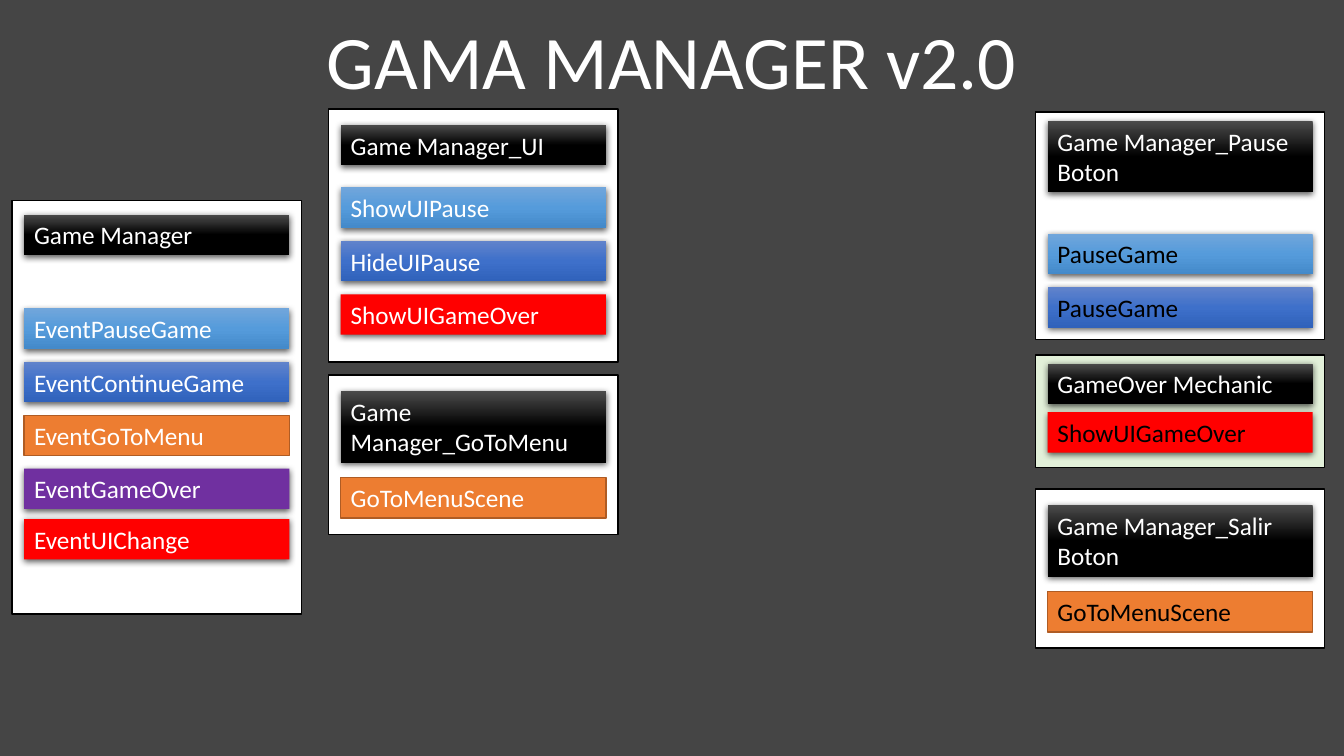
from copy import deepcopy
from dataclasses import dataclass
from typing import Any, Optional

from lxml import etree
from pptx import Presentation
from pptx.dml.color import RGBColor
from pptx.enum import shapes, text
from pptx.oxml import ns
from pptx.util import Inches, Pt

WHITE = RGBColor(0xFF, 0xFF, 0xFF)
BLACK = RGBColor(0x00, 0x00, 0x00)
CHARCOAL = RGBColor(0x45, 0x45, 0x45)
GRAPHITE = RGBColor(0x4B, 0x4B, 0x4B)
PALE_GREEN = RGBColor(0xE2, 0xF0, 0xD9)
ORANGE = RGBColor(0xED, 0x7D, 0x31)
DARK_ORANGE = RGBColor(0xAF, 0x5C, 0x24)
PURPLE = RGBColor(0x70, 0x30, 0xA0)
RED = RGBColor(0xFF, 0x00, 0x00)
SKY_TOP = RGBColor(0x71, 0xA6, 0xDB)
SKY_MIDDLE = RGBColor(0x55, 0x9B, 0xDB)
SKY_BOTTOM = RGBColor(0x44, 0x8A, 0xCA)
BLUE_TOP = RGBColor(0x61, 0x83, 0xCB)
BLUE_MIDDLE = RGBColor(0x3E, 0x70, 0xCA)
BLUE_BOTTOM = RGBColor(0x30, 0x62, 0xBB)

PANEL_WIDTH = 2.87
BAR_INSET = 0.12
BAR_WIDTH = PANEL_WIDTH - 2 * BAR_INSET
BAR_HEIGHT = 0.4
TALL_BAR_HEIGHT = 0.71
LEFT_COLUMN, MIDDLE_COLUMN, RIGHT_COLUMN = 0.12, 3.26, 10.27


@dataclass(frozen=True)
class Style:
    colors: tuple[RGBColor, ...]
    outline: Optional[RGBColor] = None
    shadow: bool = True


HEADER = Style((GRAPHITE, BLACK, BLACK))
PAUSE = Style((SKY_TOP, SKY_MIDDLE, SKY_BOTTOM))
CONTINUE = Style((BLUE_TOP, BLUE_MIDDLE, BLUE_BOTTOM))
MENU = Style((ORANGE,), DARK_ORANGE, False)
GAME_OVER = Style((PURPLE,))
UI_CHANGE = Style((RED,))
PLAIN_PANEL = Style((WHITE,), BLACK, False)
GREEN_PANEL = Style((PALE_GREEN,), BLACK, False)


@dataclass(frozen=True)
class Bar:
    label: str
    top: float
    style: Style = HEADER
    height: float = BAR_HEIGHT


@dataclass(frozen=True)
class Panel:
    left: float
    top: float
    height: float
    bars: tuple[Bar, ...]
    style: Style = PLAIN_PANEL
    event_color: RGBColor = WHITE


PANELS = (
    Panel(LEFT_COLUMN, 1.99, 4.1, (
        Bar("Game Manager", 2.13),
        Bar("EventPauseGame", 3.06, PAUSE),
        Bar("EventContinueGame", 3.59, CONTINUE),
        Bar("EventGoToMenu", 4.12, MENU),
        Bar("EventGameOver", 4.65, GAME_OVER),
        Bar("EventUIChange", 5.15, UI_CHANGE),
    )),
    Panel(RIGHT_COLUMN, 1.11, 2.26, (
        Bar("Game Manager_Pause\nBoton", 1.2, height=TALL_BAR_HEIGHT),
        Bar("PauseGame", 2.32, PAUSE),
        Bar("PauseGame", 2.85, CONTINUE),
    ), event_color=BLACK),
    Panel(MIDDLE_COLUMN, 1.08, 2.51, (
        Bar("Game Manager_UI", 1.24),
        Bar("ShowUIPause", 1.86, PAUSE),
        Bar("HideUIPause", 2.39, CONTINUE),
        Bar("ShowUIGameOver", 2.92, UI_CHANGE),
    )),
    Panel(RIGHT_COLUMN, 3.52, 1.12, (
        Bar("GameOver Mechanic", 3.61),
        Bar("ShowUIGameOver", 4.09, UI_CHANGE),
    ), GREEN_PANEL, BLACK),
    Panel(MIDDLE_COLUMN, 3.72, 1.58, (
        Bar("Game Manager_GoToMenu", 3.88, height=TALL_BAR_HEIGHT),
        Bar("GoToMenuScene", 4.74, MENU),
    )),
    Panel(RIGHT_COLUMN, 4.85, 1.58, (
        Bar("Game Manager_Salir Boton", 5.01, height=TALL_BAR_HEIGHT),
        Bar("GoToMenuScene", 5.87, MENU),
    ), event_color=BLACK),
)


def apply_format(target: Any, values: dict[str, Any]) -> None:
    for name, value in values.items():
        setattr(target, name, value)


def write_text(shape: Any, content: str, size: int, color: RGBColor,
               frame_format: dict[str, Any], paragraph_format: dict[str, Any]) -> None:
    frame = shape.text_frame
    frame.text = content
    apply_format(frame, {"word_wrap": True, **frame_format})
    for paragraph in frame.paragraphs:
        apply_format(paragraph, paragraph_format)
        for run in paragraph.runs:
            apply_format(run.font, {"name": "Calibri", "size": Pt(size)})
            run.font.color.rgb = color


def fill_gradient(shape: Any, colors: tuple[RGBColor, ...]) -> None:
    shape.fill.gradient()
    shape.fill.gradient_angle = 270
    stop_list = shape.element.spPr.find(".//" + ns.qn("a:gsLst"))
    stop_list.insert(1, deepcopy(stop_list[0]))
    for index, (stop, color) in enumerate(zip(shape.fill.gradient_stops, colors)):
        stop.color.rgb = color
        stop.position = index / (len(colors) - 1)


def add_shadow(shape: Any) -> None:
    effects = shape.element.spPr.find(ns.qn("a:effectLst"))
    shadow = etree.SubElement(effects, ns.qn("a:outerShdw"), blurRad=str(Pt(4.5)),
                              dist=str(Pt(1.5)), dir="5400000", algn="ctr", rotWithShape="0")
    color = etree.SubElement(shadow, ns.qn("a:srgbClr"), val=str(BLACK))
    etree.SubElement(color, ns.qn("a:alpha"), val="63000")


def add_box(container: Any, left: float, top: float, width: float, height: float,
            style: Style) -> Any:
    shape = container.add_shape(shapes.MSO_SHAPE.RECTANGLE, Inches(left), Inches(top),
                                Inches(width), Inches(height))
    shape.shadow.inherit = False
    if len(style.colors) > 1:
        fill_gradient(shape, style.colors)
    else:
        shape.fill.solid()
        shape.fill.fore_color.rgb = style.colors[0]
    if style.outline is None:
        shape.line.fill.background()
    else:
        shape.line.color.rgb = style.outline
        shape.line.width = Pt(1)
    if style.shadow:
        add_shadow(shape)
    return shape


def add_panel(slide: Any, panel: Panel) -> None:
    group = slide.shapes.add_group_shape().shapes
    add_box(group, panel.left, panel.top, PANEL_WIDTH, panel.height, panel.style)
    for bar in panel.bars:
        shape = add_box(group, panel.left + BAR_INSET, bar.top, BAR_WIDTH, bar.height, bar.style)
        color = WHITE if bar.style is HEADER else panel.event_color
        write_text(shape, bar.label, 18, color,
                   {"vertical_anchor": text.MSO_ANCHOR.TOP,
                    "auto_size": text.MSO_AUTO_SIZE.SHAPE_TO_FIT_TEXT},
                   {"alignment": text.PP_ALIGN.LEFT})


presentation = Presentation()
apply_format(presentation, {"slide_width": Inches(13.33), "slide_height": Inches(7.5)})
slide = presentation.slides.add_slide(presentation.slide_layouts[6])
slide.background.fill.solid()
slide.background.fill.fore_color.rgb = CHARCOAL

title = slide.shapes.add_textbox(Inches(3.06), Inches(0.34), Inches(7.21), Inches(0.76))
write_text(title, "GAMA MANAGER v2.0", 54, WHITE,
           {"vertical_anchor": text.MSO_ANCHOR.BOTTOM},
           {"alignment": text.PP_ALIGN.CENTER, "line_spacing": 0.9})
for panel in PANELS:
    add_panel(slide, panel)

presentation.save("out.pptx")
